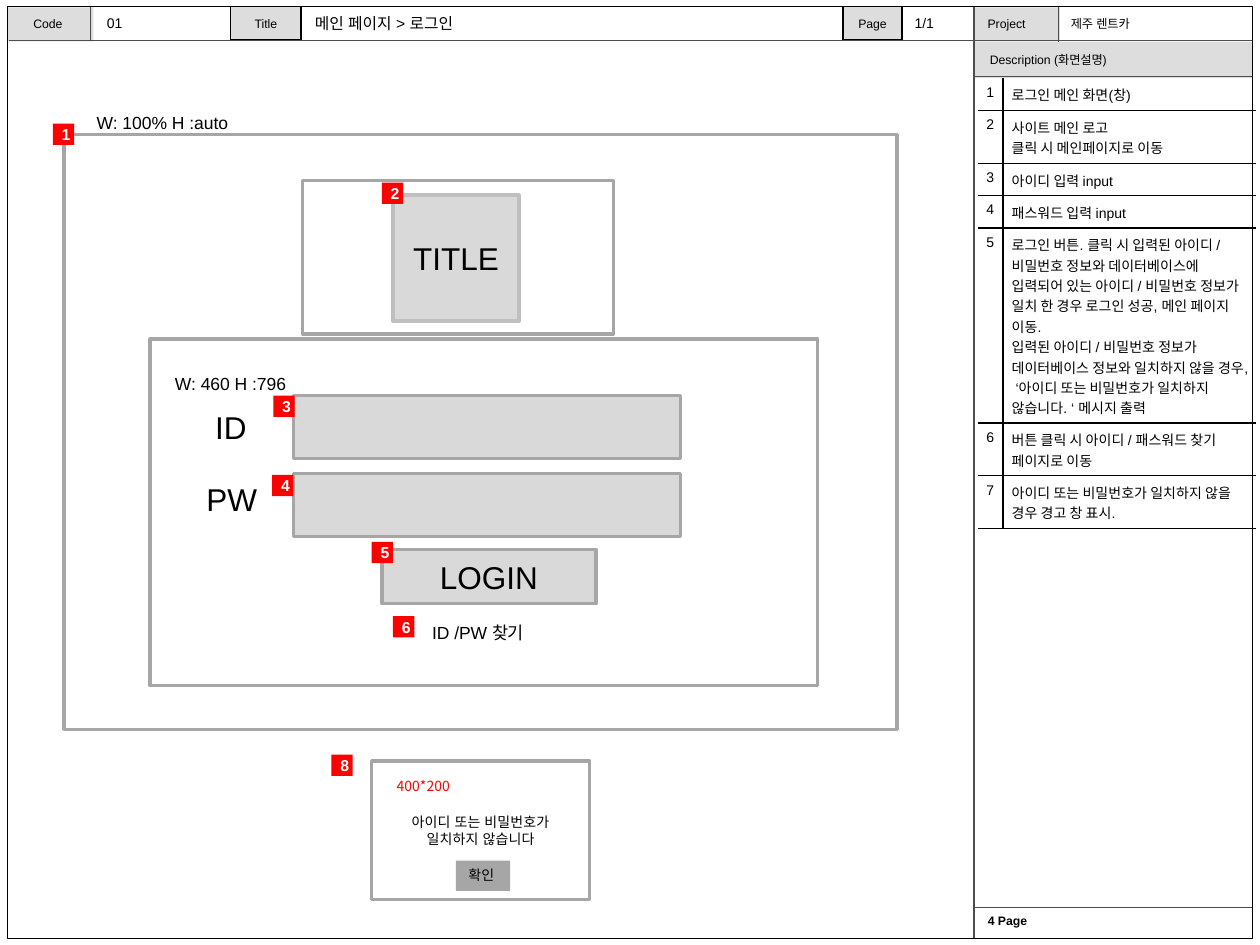
from dataclasses import dataclass
from lxml.etree import SubElement
from pptx import Presentation
from pptx.dml.color import RGBColor
from pptx.enum.shapes import MSO_CONNECTOR, MSO_SHAPE
from pptx.enum.text import MSO_ANCHOR, PP_ALIGN
from pptx.oxml.ns import qn
from pptx.slide import Slide
from pptx.text.text import TextFrame
from pptx.util import Pt

INK = {"black": "000000", "white": "FFFFFF", "red": "FF0000", "rule": "4D4D4D",
       "head": "DDDDDD", "pale": "D9D9D9", "edge": "A6A6A6", "soft": "BFBFBF"}
ALIGN = {"left": PP_ALIGN.LEFT, "mid": PP_ALIGN.CENTER}
NOTO = "Noto Sans CJK KR"


@dataclass
class Box:
    """A rectangle or a text box, measured in points."""
    left: float
    top: float
    width: float
    height: float
    text: str = ""
    size: float = 8
    fill: str = ""
    line: str = ""
    weight: float = 2
    ink: str = "black"
    bold: bool = False
    align: str = "left"
    high: bool = False
    wrap: bool = True
    font: str = "Arial"
    pad: tuple = (7.2, 3.6)


@dataclass
class Rule:
    """A straight line between two points."""
    left: float
    top: float
    right: float
    low: float


@dataclass
class Note:
    """One row of the description table."""
    height: float
    text: str


def tint(name: str) -> RGBColor:
    """Return a named colour."""
    return RGBColor.from_string(INK[name])


def style(frame: TextFrame, size: float, ink: str = "black", bold: bool = False,
          align: str = "left", font: str = "Arial", asian: str = "Arial") -> None:
    """Format every run of a text frame."""
    for para in frame.paragraphs:
        para.alignment = ALIGN[align]
        for run in para.runs:
            run.font.size, run.font.bold, run.font.name = Pt(size), bold, font
            run.font.color.rgb = tint(ink)
            SubElement(run._r.get_or_add_rPr(), qn("a:ea"), typeface=asian)


def draw_box(slide: Slide, box: Box) -> None:
    """Draw one box with its text."""
    spot = [Pt(v) for v in (box.left, box.top, box.width, box.height)]
    if box.fill or box.line:
        shape = slide.shapes.add_shape(MSO_SHAPE.RECTANGLE, *spot)
        shape.shadow.inherit = False
    else:
        shape = slide.shapes.add_textbox(*spot)
    if box.fill:
        shape.fill.solid()
        shape.fill.fore_color.rgb = tint(box.fill)
    else:
        shape.fill.background()
    if box.line:
        shape.line.color.rgb = tint(box.line)
        shape.line.width = Pt(box.weight)
    else:
        shape.line.fill.background()
    if box.text:
        frame = shape.text_frame
        frame.text, frame.word_wrap = box.text, box.wrap
        frame.vertical_anchor = MSO_ANCHOR.TOP if box.high else MSO_ANCHOR.MIDDLE
        frame.margin_left = frame.margin_right = Pt(box.pad[0])
        frame.margin_top = frame.margin_bottom = Pt(box.pad[1])
        style(frame, box.size, box.ink, box.bold, box.align, box.font, box.font)


def draw_rule(slide: Slide, rule: Rule) -> None:
    """Draw one thin grey line."""
    ends = [Pt(v) for v in (rule.left, rule.top, rule.right, rule.low)]
    line = slide.shapes.add_connector(MSO_CONNECTOR.STRAIGHT, *ends)
    line.line.color.rgb = tint("rule")
    line.line.width = Pt(0.75)
    SubElement(line._element.spPr, qn("a:effectLst"))


def draw_notes(slide: Slide, notes: list[Note]) -> None:
    """Draw the numbered description table."""
    tall = sum(note.height for note in notes)
    table = slide.shapes.add_table(len(notes), 2, Pt(558.7), Pt(44.6),
                                   Pt(159.1), Pt(tall)).table
    table.first_row = table.horz_banding = False
    for col, width in zip(table.columns, (14.4, 144.7)):
        col.width = Pt(width)
    for row, note in enumerate(notes):
        table.rows[row].height = Pt(note.height)
        for col, text in enumerate((str(row + 1), note.text)):
            cell = table.cell(row, col)
            cell.text_frame.text = text
            cell.margin_left = cell.margin_right = Pt((2.9, 5)[col])
            cell.margin_top = cell.margin_bottom = Pt(3.6)
            style(cell.text_frame, 8, align=("mid", "left")[col], asian=NOTO)
            sides = {"B", "RL"[col]} | ({"T"} if row else set())
            for side in "LRTB":
                edge = SubElement(cell._tc.get_or_add_tcPr(), qn(f"a:ln{side}"),
                                  w=str(Pt(0.75)))
                if side in sides:
                    fill = SubElement(edge, qn("a:solidFill"))
                    SubElement(fill, qn("a:srgbClr"), val=INK["black"])
                else:
                    SubElement(edge, qn("a:noFill"))
            cell.fill.background()


BARS = [
    Box(556.6, 23.8, 159, 20.9, " Description (화면설명)", 7, "head"),
    Box(481.7, 3.6, 33.8, 19.4, "Page", 7, "head", "black", 0.75, align="mid"),
    Box(131.8, 3.6, 40.3, 19.4, "Title", 7, "head", "black", 0.75, align="mid"),
    Box(4.3, 4.3, 49, 19.4, fill="head"),
    Box(4.3, 3.6, 46.1, 19.4, "Code", 7, align="mid"),
    Box(556.6, 4.3, 49, 19.4, fill="head"),
    Box(558.7, 519.1, 154.1, 17.3, "4 Page", 7, bold=True, high=True, pad=(5.8, 2.9)),
]
RULES = [
    Rule(556.6, 3.6, 556.6, 536.4), Rule(5, 23, 715.7, 23),
    Rule(604.8, 4.3, 604.8, 23.8), Rule(557.3, 518.4, 715.7, 518.4),
    Rule(557.3, 43.9, 715.7, 43.9), Rule(51.8, 4.3, 51.8, 23),
]
PANELS = [
    Box(557.3, 5.8, 47.5, 17.3, "Project", 7, high=True),
    Box(604.8, 5.8, 108, 17.3, "제주 렌트카", 7, high=True),
    Box(4.3, 3.6, 711.4, 532.8, line="black", weight=0.75),
    Box(36.7, 77, 475.9, 339.8, fill="white", line="edge"),
    Box(172.8, 103, 177.8, 87.8, fill="white", line="edge"),
    Box(85.7, 193.7, 381.6, 198, fill="white", line="edge"),
]
NOTES = [
    Note(18.5, "로그인 메인 화면(창)"),
    Note(30.3, "사이트 메인 로고\n클릭 시 메인페이지로 이동"),
    Note(18.5, "아이디 입력 input"),
    Note(18.5, "패스워드 입력 input"),
    Note(111.4, "로그인 버튼. 클릭 시 입력된 아이디 / 비밀번호 정보와 데이터베이스에 "
         "입력되어 있는 아이디 / 비밀번호 정보가 일치 한 경우 로그인 성공, 메인 페이지 이동.\n"
         "입력된 아이디 / 비밀번호 정보가 데이터베이스 정보와 일치하지 않을 경우, "
         "‘아이디 또는 비밀번호가 일치하지 않습니다. ‘ 메시지 출력"),
    Note(30.3, "버튼 클릭 시 아이디 / 패스워드 찾기 페이지로 이동"),
    Note(30.3, "아이디 또는 비밀번호가 일치하지 않을 경우 경고 창 표시."),
]
FORM = [
    Box(54, 3.6, 73.4, 18.7, "01"),
    Box(172.8, 4.3, 306, 18, "메인 페이지 > 로그인", 9),
    Box(515.5, 3.6, 37.4, 18.7, "1/1"),
    Box(224.6, 111.6, 72, 72, "TITLE", 18, "pale", "soft", align="mid"),
    Box(167.8, 226.1, 221, 36, fill="pale", line="edge"),
    Box(167.8, 270.7, 221, 36, fill="pale", line="edge"),
    Box(110.9, 229.7, 45.4, 28.8, " ID", 18, "white", "white", high=True),
    Box(110.9, 270.7, 45.4, 28.8, "PW", 18, "white", "white", high=True),
    Box(239.8, 352.1, 113, 19.4, "ID /PW 찾기", 10, high=True),
    Box(218.2, 313.9, 122.4, 31, "LOGIN", 18, "pale", "edge", align="mid"),
    Box(212.4, 434.9, 124.6, 79.2, "아이디 또는 비밀번호가 일치하지 않습니다", 8,
        "white", "edge", align="mid"),
    Box(260.6, 491.8, 31, 17.3, "확인", 8, "edge", high=True, wrap=False),
    Box(48.2, 60.5, 119.5, 19.4, "W: 100% H :auto", 10, high=True),
    Box(92.9, 209.5, 82.8, 19.4, "W: 460 H :796", 10, high=True),
    Box(219.6, 440.6, 45.4, 17.3, "400*200", ink="red", high=True, font=NOTO),
]
MARKS = {"1": (30.2, 70.6), "2": (218.2, 104.4), "3": (156.2, 226.1), "4": (155.5, 271.4),
         "5": (212.4, 309.6), "6": (224.6, 352.1), "8": (189.4, 431.3)}


def main() -> None:
    """Build the login page slide."""
    deck = Presentation()
    deck.slide_width, deck.slide_height = Pt(720), Pt(540)
    slide = deck.slides.add_slide(deck.slide_layouts[6])
    for bar in BARS:
        draw_box(slide, bar)
    for rule in RULES:
        draw_rule(slide, rule)
    for panel in PANELS:
        draw_box(slide, panel)
    draw_notes(slide, NOTES)
    for item in FORM:
        draw_box(slide, item)
    for text, (left, top) in MARKS.items():
        draw_box(slide, Box(left, top, 12.2, 12.2, text, 9, "red", ink="white",
                            bold=True, align="mid"))
    deck.save("out.pptx")


if __name__ == "__main__":
    main()
